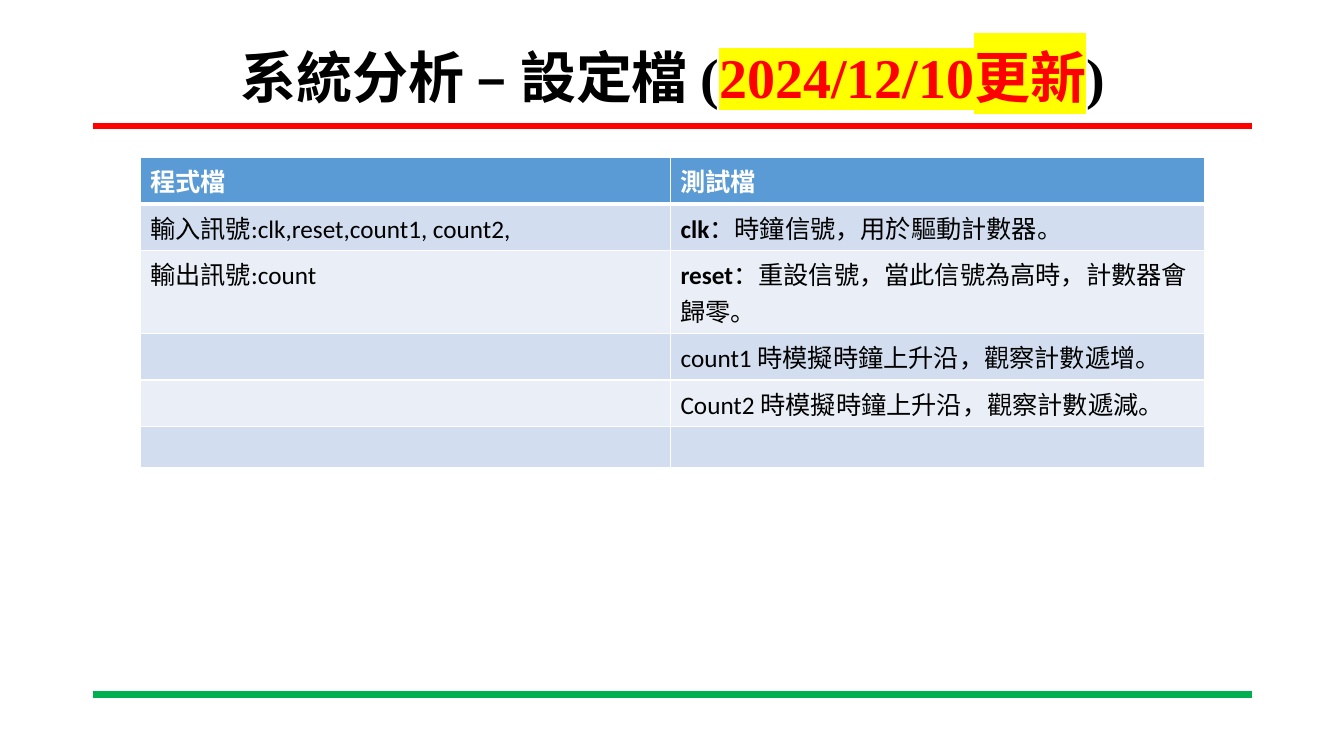
from lxml.etree import SubElement
from pptx import Presentation
from pptx.dml.color import RGBColor
from pptx.enum.shapes import MSO_CONNECTOR as Connector
from pptx.enum.text import MSO_ANCHOR as Anchor, MSO_AUTO_SIZE as AutoSize, PP_ALIGN as Align
from pptx.oxml import parse_xml
from pptx.oxml.ns import nsdecls, qn
from pptx.util import Inches, Pt

BLACK = RGBColor(0x00, 0x00, 0x00)
WHITE = RGBColor(0xFF, 0xFF, 0xFF)
RED = RGBColor(0xFF, 0x00, 0x00)
GREEN = RGBColor(0x00, 0xB0, 0x50)
YELLOW = RGBColor(0xFF, 0xFF, 0x00)
HEADER_BLUE = RGBColor(0x5B, 0x9B, 0xD5)
BANDS = (RGBColor(0xD2, 0xDE, 0xEF), RGBColor(0xEA, 0xEF, 0xF7))

TITLE_RUNS = (
    ("系統分析 – 設定檔 (", BLACK, None),
    ("2024/12/10更新", RED, YELLOW),
    (")", BLACK, None),
)
SIGNAL_ROWS = (
    (("", "程式檔"), ("", "測試檔")),
    (("", "輸入訊號:clk,reset,count1, count2,"), ("clk", "：時鐘信號，用於驅動計數器。")),
    (("", "輸出訊號:count"), ("reset", "：重設信號，當此信號為高時，計數器會歸零。")),
    (("", ""), ("", "count1 時模擬時鐘上升沿，觀察計數遞增。")),
    (("", ""), ("", "Count2 時模擬時鐘上升沿，觀察計數遞減。")),
    (("", ""), ("", "")),
)
COLUMN_WIDTHS = (5.26, 5.3)
ROW_HEIGHTS = (0.41, 0.41, 0.47, 0.41, 0.41, 0.41)


class SlideBuilder:
    """Hold the slide and its fonts, and add styled elements to it."""

    title_font = "Times New Roman"
    table_font = "Calibri"

    def __init__(self, presentation):
        """Add a title-only slide."""
        self.slide = presentation.slides.add_slide(presentation.slide_layouts[5])

    def add_run(self, paragraph, text, font_name, size, color, bold, highlight=None):
        """Append a formatted run, highlighted if a colour is given."""
        run = paragraph.add_run()
        run.text = text
        font = run.font
        font.size, font.bold = Pt(size), bold
        font.color.rgb = color
        if highlight is not None:
            properties = run._r.get_or_add_rPr()
            properties.find(qn("a:solidFill")).addnext(parse_xml(
                f'<a:highlight {nsdecls("a")}><a:srgbClr val="{highlight}"/></a:highlight>'))
        font.name = font_name

    def add_title(self, runs, left, top, width, height):
        """Place and fill the title placeholder."""
        title = self.slide.shapes.title
        title.left, title.top = Inches(left), Inches(top)
        title.width, title.height = Inches(width), Inches(height)
        frame = title.text_frame
        frame.auto_size = AutoSize.NONE
        frame.vertical_anchor = Anchor.MIDDLE
        paragraph = frame.paragraphs[0]
        paragraph.alignment = Align.CENTER
        paragraph.line_spacing = 0.9
        for text, color, highlight in runs:
            self.add_run(paragraph, text, self.title_font, 40, color, True, highlight)

    def add_rule(self, top, color):
        """Draw a thick horizontal rule across the slide."""
        rule = self.slide.shapes.add_connector(
            Connector.STRAIGHT, Inches(0.92), Inches(top), Inches(12.42), Inches(top))
        rule.line.color.rgb = color
        rule.line.width = Pt(4.5)
        SubElement(rule._element.spPr, qn("a:effectLst"))

    def set_borders(self, cell, top, bottom):
        """Give a cell white borders with the given top and bottom widths."""
        properties = cell._tc.get_or_add_tcPr()
        widths = (("lnL", 1), ("lnR", 1), ("lnT", top), ("lnB", bottom))
        for position, (tag, width) in enumerate(widths):
            properties.insert(position, parse_xml(
                f'<a:{tag} {nsdecls("a")} w="{Pt(width)}"><a:solidFill>'
                f'<a:srgbClr val="{WHITE}"/></a:solidFill></a:{tag}>'))

    def add_table(self, rows, left, top):
        """Add a banded table with a header row."""
        table = self.slide.shapes.add_table(
            len(rows), len(COLUMN_WIDTHS), Inches(left), Inches(top),
            Inches(sum(COLUMN_WIDTHS)), Inches(sum(ROW_HEIGHTS))).table
        for column, width in zip(table.columns, COLUMN_WIDTHS):
            column.width = Inches(width)
        for index, row in enumerate(rows):
            table.rows[index].height = Inches(ROW_HEIGHTS[index])
            header = index == 0
            for cell, (term, text) in zip(table.rows[index].cells, row):
                cell.fill.solid()
                cell.fill.fore_color.rgb = HEADER_BLUE if header else BANDS[(index - 1) % 2]
                self.set_borders(cell, 3 if index == 1 else 1, 3 if header else 1)
                paragraph = cell.text_frame.paragraphs[0]
                for words, bold in ((term, True), (text, header)):
                    if words:
                        self.add_run(paragraph, words, self.table_font, 18,
                                     WHITE if header else BLACK, bold)


def main():
    """Build and save the presentation."""
    presentation = Presentation()
    presentation.slide_width = Inches(13.33)
    presentation.slide_height = Inches(7.5)
    builder = SlideBuilder(presentation)
    builder.add_rule(1.25, RED)
    builder.add_rule(6.89, GREEN)
    builder.add_title(TITLE_RUNS, 0.92, 0.4, 11.5, 0.79)
    builder.add_table(SIGNAL_ROWS, 1.39, 1.56)
    presentation.save("out.pptx")


if __name__ == "__main__":
    main()
